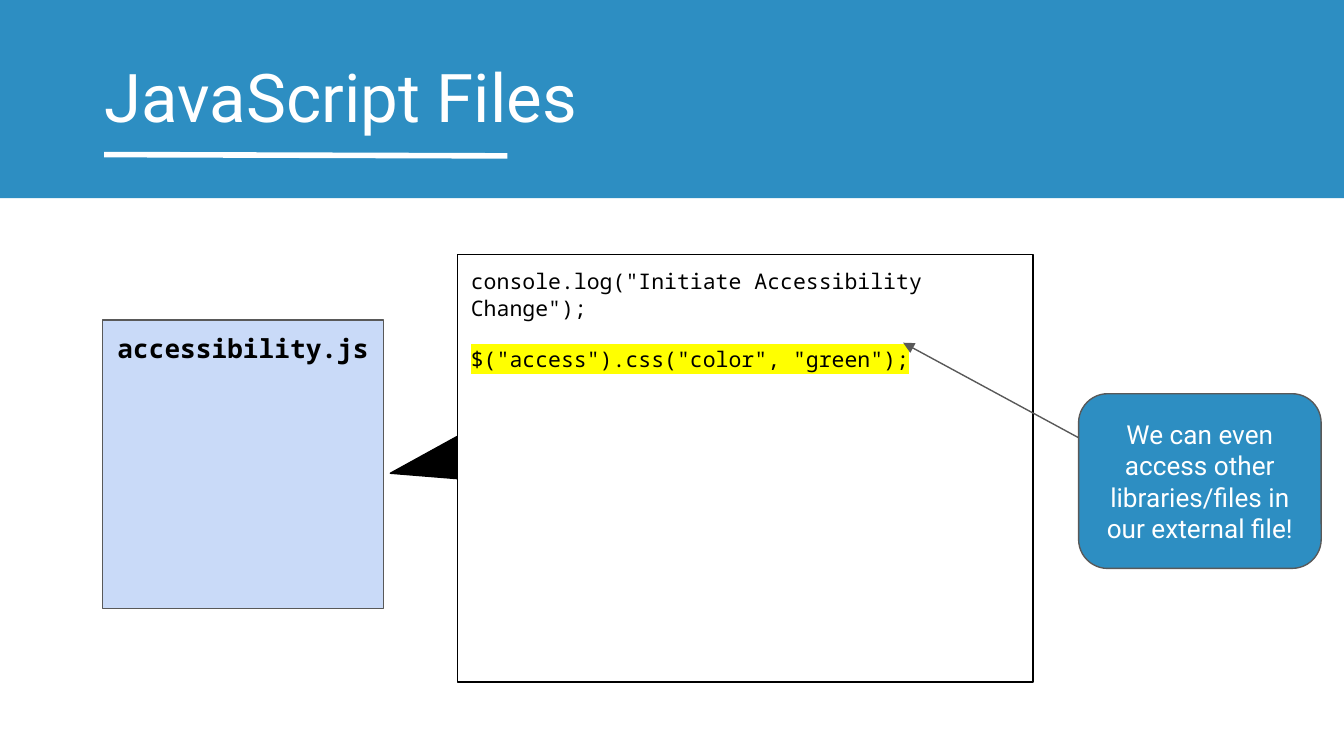
from dataclasses import dataclass
from typing import Optional

from lxml import etree
from pptx import Presentation
from pptx import util as u
from pptx.dml.color import RGBColor
from pptx.enum import shapes, text
from pptx.oxml.ns import qn

PX = 4572  # 200 px to the inch
BLUE = RGBColor(0x2D, 0x8E, 0xC2)
PALE_BLUE = RGBColor(0xC9, 0xDA, 0xF8)
GREY = RGBColor(0x59, 0x59, 0x59)
WHITE = RGBColor(0xFF, 0xFF, 0xFF)
BLACK = RGBColor(0, 0, 0)
YELLOW = "FFFF00"
SANS, MONO = "Roboto", "Noto Sans Mono"
INSET = 20
SHAPE, ALIGN, ANCHOR = shapes.MSO_SHAPE, text.PP_ALIGN, text.MSO_ANCHOR


@dataclass(frozen=True)
class Style:
    font: str
    size: float
    leading: float
    color: RGBColor
    bold: bool = False
    align: ALIGN = ALIGN.LEFT
    anchor: ANCHOR = ANCHOR.TOP


@dataclass(frozen=True)
class Line:
    words: str
    before: float = 0
    highlight: Optional[str] = None


@dataclass(frozen=True)
class Box:
    kind: SHAPE
    at: tuple[int, int, int, int]
    fill: RGBColor
    line: Optional[RGBColor] = None
    rotation: float = 0
    style: Optional[Style] = None
    lines: tuple[Line, ...] = ()


@dataclass(frozen=True)
class Stroke:
    start: tuple[int, int]
    end: tuple[int, int]
    color: RGBColor
    width: float
    arrow: bool = False


TITLE = Style(SANS, 36, 43.4, WHITE)
FILE_NAME = Style(MONO, 14, 16.4, BLACK, bold=True, align=ALIGN.CENTER)
CODE = Style(MONO, 11.5, 14, BLACK)
NOTE = Style(SANS, 14, 16.8, WHITE, align=ALIGN.CENTER, anchor=ANCHOR.MIDDLE)

BAND = Box(SHAPE.RECTANGLE, (0, 0, 2000, 295), BLUE)
UNDERLINE = Stroke((155, 230), (755, 232), WHITE, 3)
FILE_BOXES = (
    Box(SHAPE.RECTANGLE, (153, 476, 418, 430), PALE_BLUE, GREY,
        style=FILE_NAME, lines=(Line("accessibility.js"),)),
    Box(SHAPE.FLOWCHART_MERGE, (646, 495, 208, 346), BLACK, BLACK, rotation=77.9),
    Box(SHAPE.RECTANGLE, (681, 379, 856, 636), WHITE, BLACK, style=CODE, lines=(
        Line('console.log("Initiate Accessibility Change");'),
        Line('$("access").css("color", "green");', before=13.5, highlight=YELLOW),
    )),
)
NOTE_ARROW = Stroke((1632, 666), (1344, 510), GREY, 0.75, arrow=True)
NOTE_BOX = Box(
    SHAPE.ROUNDED_RECTANGLE, (1605, 586, 361, 260), BLUE, GREY, style=NOTE,
    lines=(Line("We can even access other libraries/files in our external file!"),))


def px(n: int) -> u.Emu:
    return u.Emu(n * PX)


def write(tf, style: Style, lines: tuple[Line, ...]) -> None:
    tf.word_wrap = True
    tf.auto_size = text.MSO_AUTO_SIZE.NONE
    tf.vertical_anchor = style.anchor
    tf.margin_left = tf.margin_right = tf.margin_top = tf.margin_bottom = px(INSET)
    for i, line in enumerate(lines):
        p = tf.add_paragraph() if i else tf.paragraphs[0]
        p.alignment = style.align
        p.line_spacing = u.Pt(style.leading)
        p.space_before = u.Pt(line.before)
        r = p.add_run()
        r.text = line.words
        r.font.name, r.font.size, r.font.bold = style.font, u.Pt(style.size), style.bold
        r.font.color.rgb = style.color
        if line.highlight:
            mark = etree.Element(qn("a:highlight"))
            etree.SubElement(mark, qn("a:srgbClr"), val=line.highlight)
            r.font.fill._xPr.find(qn("a:solidFill")).addnext(mark)


def draw_box(s, box: Box):
    sp = s.shapes.add_shape(box.kind, *map(px, box.at))
    sp.shadow.inherit = False
    sp.rotation = box.rotation
    sp.fill.solid()
    sp.fill.fore_color.rgb = box.fill
    if box.line is None:
        sp.line.fill.background()
    else:
        sp.line.color.rgb = box.line
        sp.line.width = u.Pt(0.75)
    if box.style:
        write(sp.text_frame, box.style, box.lines)
    return sp


def draw_stroke(s, stroke: Stroke):
    cx = s.shapes.add_connector(
        shapes.MSO_CONNECTOR.STRAIGHT, *map(px, stroke.start + stroke.end))
    cx.line.color.rgb = stroke.color
    cx.line.width = u.Pt(stroke.width)
    if stroke.arrow:
        etree.SubElement(cx.line._get_or_add_ln(), qn("a:tailEnd"), type="triangle")
    etree.SubElement(cx.element.spPr, qn("a:effectLst"))
    return cx


def main() -> None:
    prs = Presentation()
    prs.slide_width, prs.slide_height = px(2000), px(1125)
    s = prs.slides.add_slide(prs.slide_layouts[5])

    title = s.shapes.title
    title.left, title.top, title.width, title.height = map(px, (136, 62, 1864, 126))
    write(title.text_frame, TITLE, (Line("JavaScript Files"),))
    for sp in (draw_box(s, BAND), draw_stroke(s, UNDERLINE)):
        title.element.addprevious(sp.element)  # keep the title in front

    for box in FILE_BOXES:
        draw_box(s, box)
    draw_stroke(s, NOTE_ARROW)
    draw_box(s, NOTE_BOX)
    prs.save("out.pptx")


if __name__ == "__main__":
    main()
